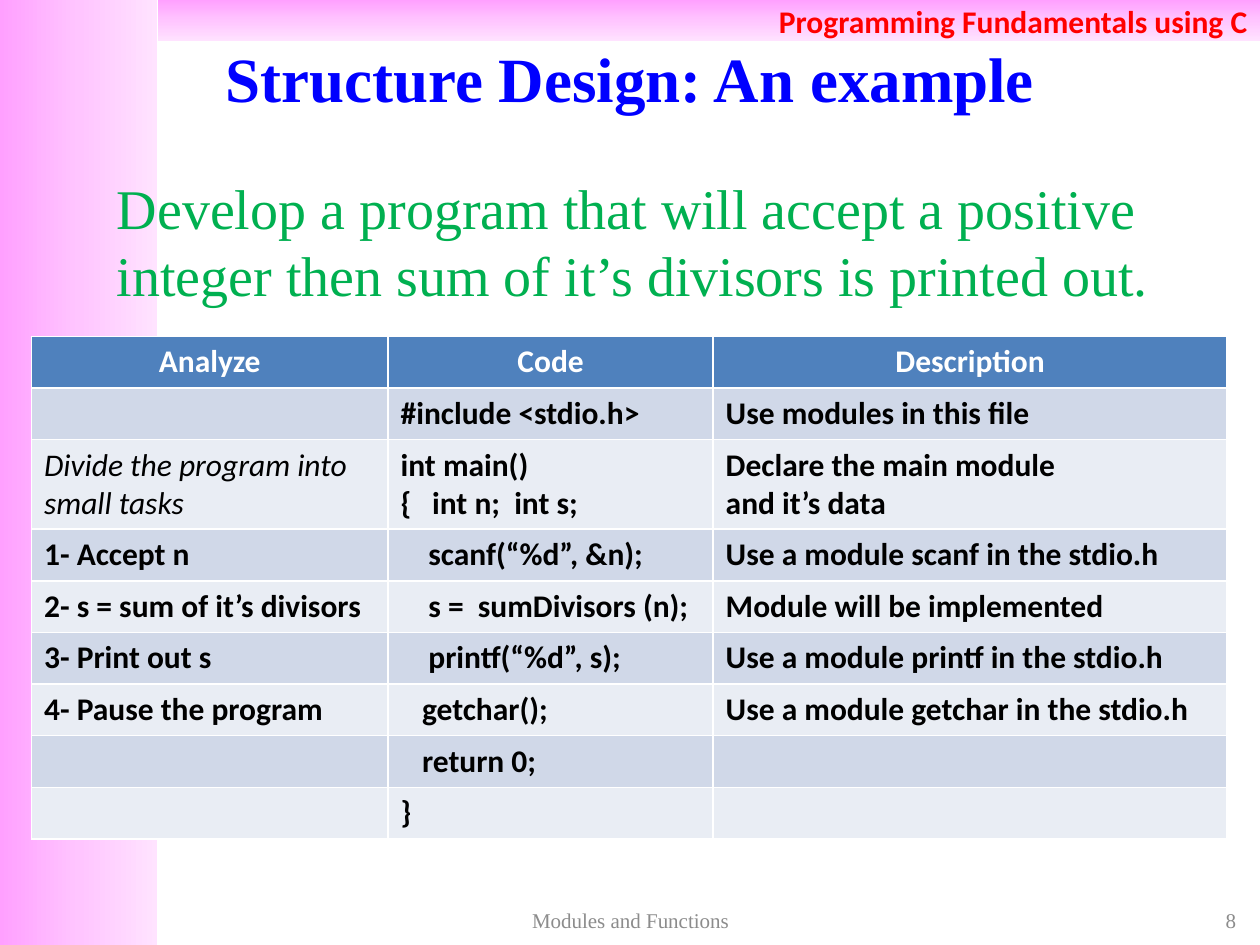
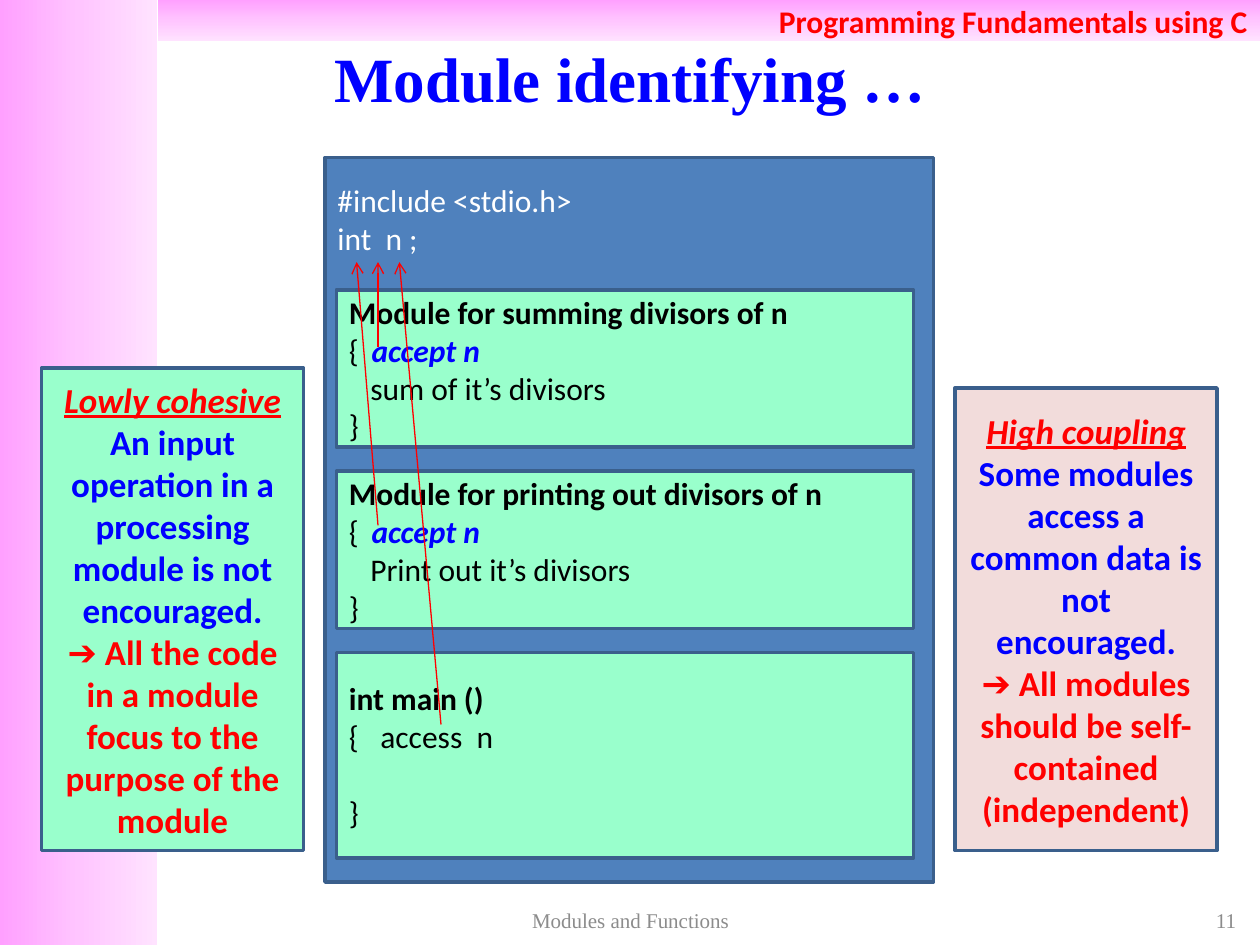
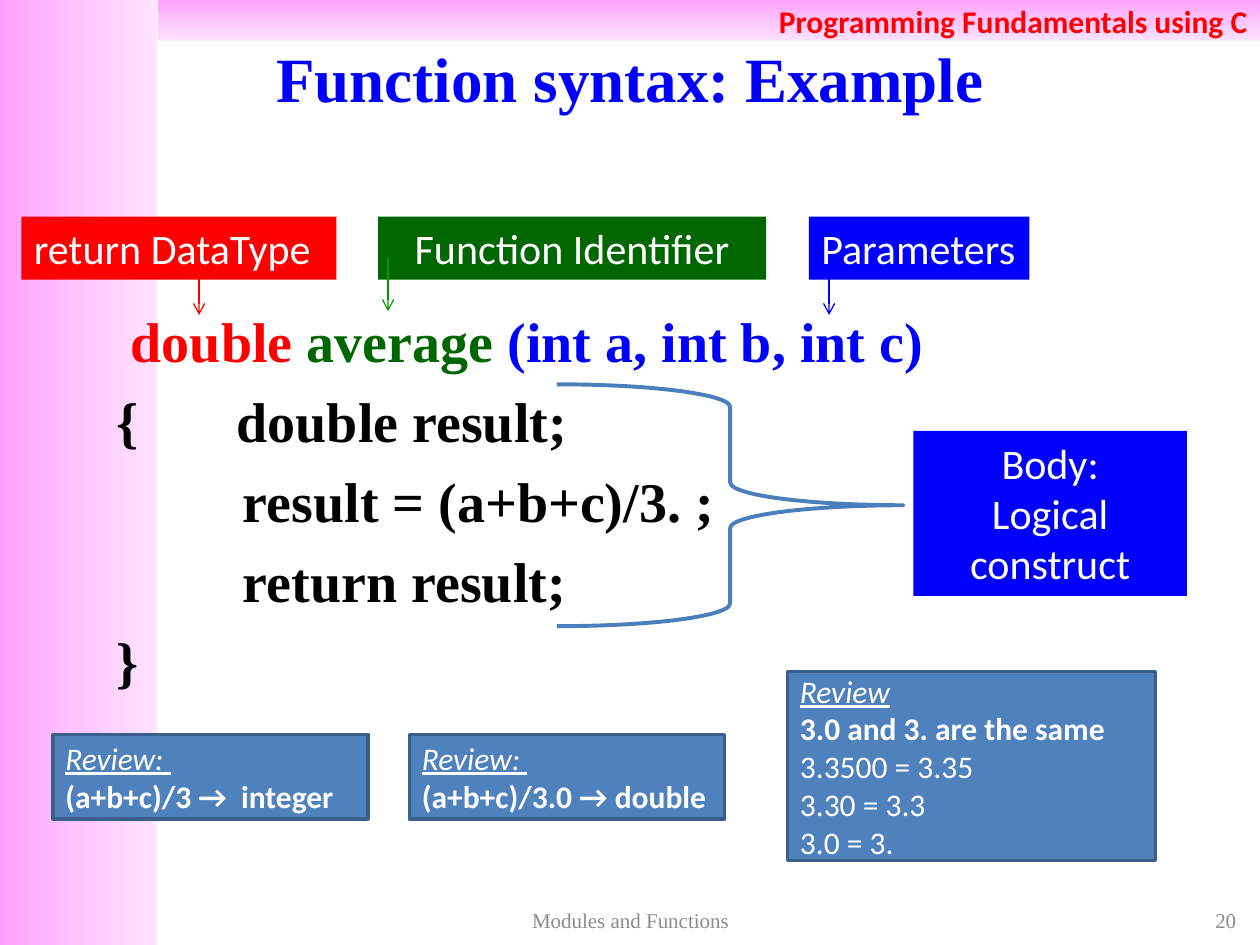
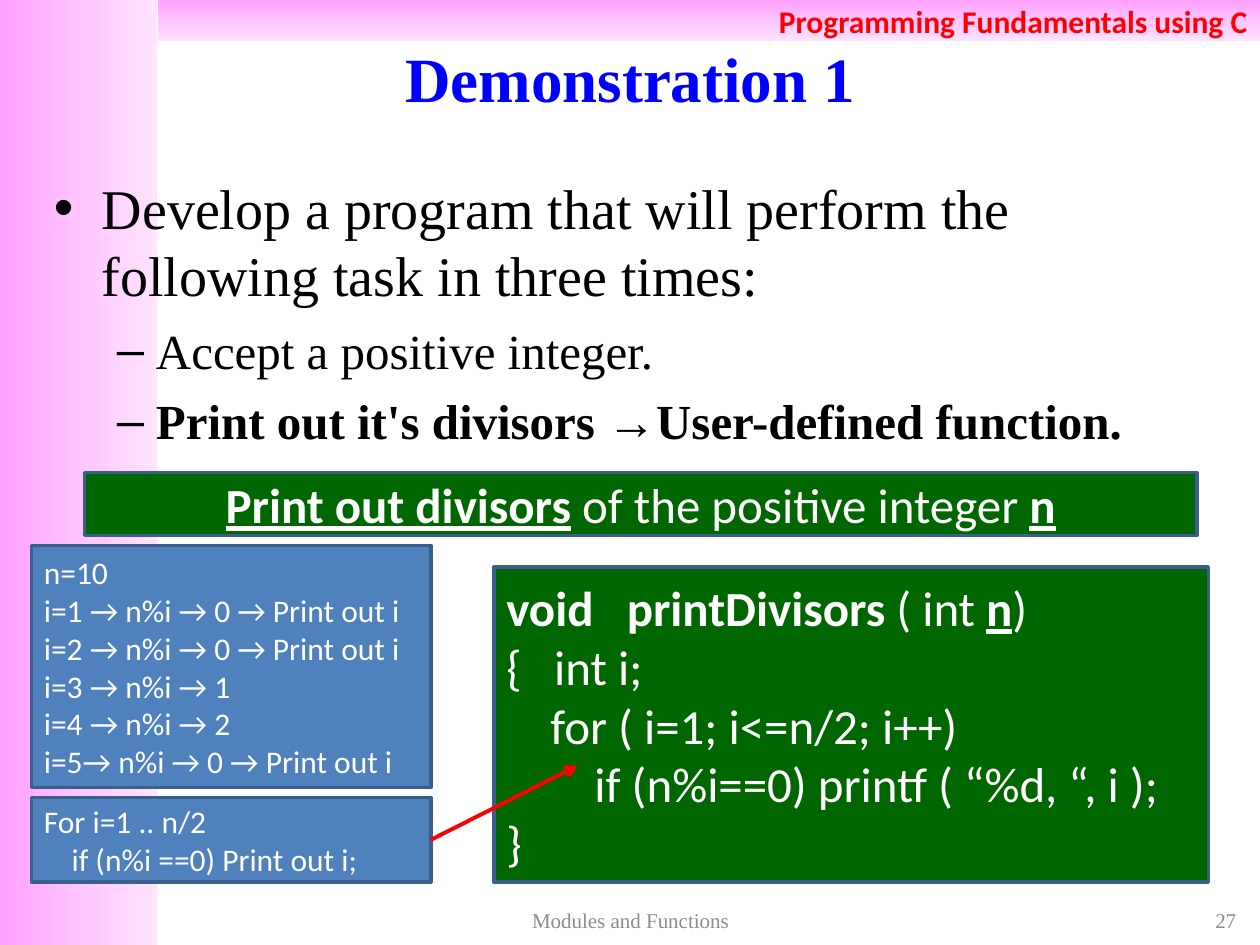
from copy import deepcopy

from lxml import etree
from pptx import Presentation
from pptx import util as u
from pptx.dml.color import RGBColor
from pptx.enum import shapes, text
from pptx.oxml import ns

rgb = RGBColor.from_string
SERIF = "Times New Roman"
WHITE, BLACK, RED, BLUE, GREEN = "FFFFFF", "000000", "FF0000", "0000FF", "006600"
STEEL, OUTLINE, MINT, ROSE, GRAY = "4F81BD", "3A5F8C", "99FFCC", "F2DCDB", "8C8C8C"
BAND_COLORS = ["FFA0FF", "FFC5FF", "FFE3FF"]
ALIGN = {"l": text.PP_ALIGN.LEFT, "c": text.PP_ALIGN.CENTER,
         "r": text.PP_ALIGN.RIGHT, "j": text.PP_ALIGN.JUSTIFY}
STRONG = {"bold": True}
KEYWORD = {"bold": True, "underline": True}
REVIEW = {"italic": True, "underline": True}
HEADLINE = {"color": RED, "italic": True, "underline": True}
ACCEPT = {"color": BLUE, "bold": True, "italic": True}


def write(frame, paragraphs, align="l", before=0, indents={}, **defaults):
    """Each paragraph is a string or a list of (text, format) runs;
    indents maps a paragraph's index to (left margin, first-line indent)."""
    for index, runs in enumerate(paragraphs):
        paragraph = frame.paragraphs[0] if index == 0 else frame.add_paragraph()
        paragraph.alignment = ALIGN[align]
        if before:
            paragraph.space_before = u.Pt(before)
        if index in indents:
            left, first = indents[index]
            properties = paragraph._p.get_or_add_pPr()
            properties.set("marL", str(u.Inches(left)))
            properties.set("indent", str(u.Inches(first)))
        for words, changes in [(runs, {})] if isinstance(runs, str) else runs:
            style = {"size": 18, "font": "Calibri", "color": WHITE} | defaults | changes
            run = paragraph.add_run()
            run.text = words
            run.font.name = style["font"]
            run.font.size = u.Pt(style["size"])
            run.font.color.rgb = rgb(style["color"])
            run.font.bold = style.get("bold", False)
            run.font.italic = style.get("italic", False)
            run.font.underline = style.get("underline", False)


def add_box(slide, place, paragraphs, fill=None, line=None, anchor="MIDDLE", **style):
    """Add a filled rectangle, or a plain text box when there is no fill."""
    place = [u.Inches(length) for length in place]
    if fill:
        box = slide.shapes.add_shape(shapes.MSO_SHAPE.RECTANGLE, *place)
        box.shadow.inherit = False
        box.fill.solid()
        box.fill.fore_color.rgb = rgb(fill)
        if line:
            box.line.color.rgb = rgb(line)
            box.line.width = u.Pt(2)
        else:
            box.line.fill.background()
    else:
        box = slide.shapes.add_textbox(*place)
    box.text_frame.word_wrap = True
    box.text_frame.vertical_anchor = text.MSO_ANCHOR[anchor]
    write(box.text_frame, paragraphs, **style)
    return box


presentation = Presentation()
presentation.slide_width, presentation.slide_height = u.Inches(10), u.Inches(7.5)
layout = presentation.slide_layouts[6]

# Title and footer of every slide
slides = []
for title, number in [("Structure Design: An example", "8"),
                      ("Module identifying …", "11"),
                      ("Function syntax: Example", "20"),
                      ("Demonstration 1", "27")]:
    slide = presentation.slides.add_slide(layout)
    add_box(slide, (0, 0.3, 10, 0.62), [title], align="c",
            size=36, font=SERIF, color=BLUE, bold=True)
    add_box(slide, (7.58, 7.17, 2.33, 0.27), [number], align="r",
            size=12, font=SERIF, color=GRAY)
    add_box(slide, (3.42, 7.17, 3.17, 0.27), ["Modules and Functions"], align="c",
            size=12, font=SERIF, color=GRAY)
    slides.append(slide)
structure, modules, syntax, demonstration = slides

# Gradient bands, shared through the layout
for place, angle, words in [((0, 0, 1.25, 7.5), 0, []),
                            ((1.25, 0, 8.75, 0.33), 270,
                             ["Programming Fundamentals using C"])]:
    band = add_box(structure, place, words, fill=WHITE, align="r", color=RED, bold=True)
    band.fill.gradient()
    band.fill.gradient_angle = angle
    stop_list = band.element.spPr.find(".//" + ns.qn("a:gsLst"))
    stop_list.insert(1, deepcopy(stop_list[0]))
    for index, stop in enumerate(band.fill.gradient_stops):
        stop.position = index / 2
        stop.color.rgb = rgb(BAND_COLORS[index])
    layout.shapes.element.append(band.element)

# Slide 1: analysis table
add_box(structure, (0.83, 1.33, 8.67, 1.08),
        ["Develop a program that will accept a positive integer then sum of "
         "it’s divisors is printed out."],
        anchor="TOP", before=7.4, size=32, font=SERIF, color="00B050")
rows = [
    ("Analyze", "Code", "Description"),
    ("", "#include <stdio.h>", "Use modules in this file"),
    ("Divide the program into small tasks", "int main()\n{\tint n;  int s;",
     "Declare the main module\nand it’s data"),
    ("1- Accept n", "scanf(“%d”, &n);", "Use a module scanf in the stdio.h"),
    ("2- s = sum of it’s divisors", "s =  sumDivisors (n);", "Module will be implemented"),
    ("3- Print out s", "printf(“%d”, s);", "Use a module printf in the stdio.h"),
    ("4- Pause the program", "getchar();", "Use a module getchar in the stdio.h"),
    ("", "return 0;", ""),
    ("", "}", ""),
]
code_indents = {2: {1: (0.25, -0.25)}, 3: {0: (0.22, 0)}, 4: {0: (0.22, 0)},
                5: {0: (0.22, 0)}, 6: {0: (0.17, 0)}, 7: {0: (0.17, 0)}}
table = structure.shapes.add_table(len(rows), 3, u.Inches(0.25), u.Inches(2.67),
                                   u.Inches(9.5), u.Inches(3.99)).table
for column, width in zip(table.columns, (2.83, 2.58, 4.08)):
    column.width = u.Inches(width)
for r, row in enumerate(rows):
    table.rows[r].height = u.Inches(0.71 if r == 2 else 0.41)
    for c, words in enumerate(row):
        cell = table.cell(r, c)
        cell.fill.solid()
        cell.fill.fore_color.rgb = rgb(STEEL if r == 0 else ("E9EDF4", "D0D8E8")[r % 2])
        intro = (r, c) == (2, 0)
        if words:
            write(cell.text_frame, words.split("\n"), align="l" if r else "c",
                  color=BLACK if r else WHITE, bold=not intro, italic=intro,
                  indents=code_indents.get(r, {}) if c == 1 else {})

# Slide 2: modules around a common variable
program = add_box(modules, (2.58, 1.25, 4.83, 5.75), ["#include <stdio.h>", "int  n ;"],
                  fill=STEEL, line=OUTLINE, anchor="TOP")
program.text_frame.margin_top = u.Inches(0.19)
for top, heading, task in [
        (2.3, "Module for summing divisors of n", "sum of it’s divisors"),
        (3.74, "Module for printing out divisors of n", "Print out it’s divisors")]:
    add_box(modules, (2.67, top, 4.58, 1.25),
            [[(heading, STRONG)], [("{\t", {}), ("accept n", ACCEPT)], task, "}"],
            fill=MINT, line=OUTLINE, color=BLACK,
            indents={1: (0.18, -0.18), 2: (0.17, 0)})
main_module = add_box(modules, (2.67, 5.18, 4.58, 1.63),
                      [[("int main ()", STRONG)], "{\taccess  n", "}"],
                      fill=MINT, line=OUTLINE, color=BLACK, indents={1: (0.25, -0.25)})
main_module.text_frame.paragraphs[2].space_before = u.Pt(22)
add_box(modules, (0.33, 2.92, 2.08, 3.83),
        [[("Lowly cohesive", HEADLINE)],
         "An input operation in a processing module is not encouraged.",
         [("➔ All the code in a module focus to the purpose of the module", {"color": RED})]],
        fill=MINT, line=OUTLINE, align="c", size=20, color=BLUE, bold=True)
add_box(modules, (7.58, 3.08, 2.08, 3.67),
        [[("High coupling", HEADLINE),
          (" Some modules access a common data is not encouraged.", {})],
         [("➔ All modules should be self-contained (independent)", {"color": RED})]],
        fill=ROSE, line=OUTLINE, align="c", size=20, color=BLUE, bold=True)

# Slide 3: parts of a function
add_box(syntax, (0.83, 2.38, 8.67, 3.28),
        [[("double ", {"color": RED}), ("average ", {"color": GREEN}),
          ("(int a, int b, int c)", {"color": BLUE})],
         "{\tdouble result;", "result = (a+b+c)/3. ;", "return result;", "}"],
        anchor="TOP", align="j", before=7.4, size=32, font=SERIF, color=BLACK, bold=True,
        indents={0: (0.11, 0), 1: (0.95, -0.95), 2: (1, 0), 3: (1, 0)})
for place, words, fill, align in [
        ((0.17, 1.72, 2.5, 0.5), ["return DataType"], RED, "l"),
        ((3, 1.72, 3.08, 0.5), ["Function Identifier"], GREEN, "c"),
        ((6.42, 1.72, 1.75, 0.5), ["Parameters"], BLUE, "l"),
        ((7.25, 3.42, 2.17, 1.31), ["Body:", "Logical construct"], BLUE, "c")]:
    add_box(syntax, place, words, fill=fill, align=align, anchor="TOP", size=24)
brace = syntax.shapes.add_shape(shapes.MSO_SHAPE.RIGHT_BRACE, u.Inches(4.42),
                                u.Inches(3.05), u.Inches(2.75), u.Inches(1.92))
brace.adjustments[0] = 0.094
brace.shadow.inherit = False
brace.fill.background()
brace.line.color.rgb = rgb("4B7EBC")
brace.line.width = u.Pt(2.25)
for place, heading, claim, examples in [
        ((0.42, 5.83, 2.5, 0.67), "Review: ", "(a+b+c)/3 →  integer", []),
        ((3.25, 5.83, 2.5, 0.67), "Review: ", "(a+b+c)/3.0 → double", []),
        ((6.25, 5.33, 2.92, 1.5), "Review", "3.0 and 3. are the same",
         ["3.3500 = 3.35", "3.30 = 3.3", "3.0 = 3."])]:
    add_box(syntax, place, [[(heading, REVIEW)], [(claim, STRONG)], *examples],
            fill=STEEL, line=OUTLINE)

# Slide 4: task, trace and code
task = add_box(demonstration, (0.33, 1.33, 9.17, 2.33),
               [[("Develop a program that will perform the following task in three times:",
                  {"size": 32})],
                "Accept a positive integer.",
                [("Print out it's divisors →User-defined function.", STRONG)]],
               anchor="TOP", before=6.8, size=28, font=SERIF, color=BLACK,
               indents={0: (0.38, -0.38), 1: (0.81, -0.31), 2: (0.81, -0.31)})
for paragraph, level, bullet in zip(task.text_frame.paragraphs, (0, 1, 1), "•––"):
    paragraph.level = level
    properties = paragraph._p.get_or_add_pPr()
    etree.SubElement(properties, ns.qn("a:buFont")).set("typeface", "Arial")
    etree.SubElement(properties, ns.qn("a:buChar")).set("char", bullet)
add_box(demonstration, (0.67, 3.75, 8.83, 0.5),
        [[("Print out divisors", KEYWORD), (" of the positive integer ", {}), ("n", KEYWORD)]],
        fill=GREEN, line=OUTLINE, align="c", size=28)
add_box(demonstration, (0.25, 4.33, 3.17, 1.92),
        ["n=10", "i=1 → n%i → 0 → Print out i", "i=2 → n%i → 0 → Print out i",
         "i=3 → n%i → 1", "i=4 → n%i → 2", "i=5→ n%i → 0 → Print out i"],
        fill=STEEL, line=OUTLINE)
loop_box = add_box(demonstration, (0.25, 6.33, 3.17, 0.67),
                   ["For i=1 .. n/2", "if (n%i ==0) Print out i;"],
                   fill=STEEL, line=OUTLINE, indents={1: (0.22, 0)})
add_box(demonstration, (3.92, 4.5, 5.67, 2.5),
        [[("void   printDivisors", STRONG), (" ( int ", {}), ("n", KEYWORD), (")", {})],
         "{\tint i;", "for ( i=1; i<=n/2; i++)",
         "if (n%i==0) printf ( “%d, “, i );", "}"],
        fill=GREEN, line=OUTLINE, size=28,
        indents={1: (0.38, -0.38), 2: (0.35, 0), 3: (0.7, 0)})

# Arrows of all slides
for slide, ends, color, width, source in [
        (modules, (3, 2.75, 3, 2.08), RED, 0.75, None),
        (modules, (3, 4.17, 2.83, 2.08), RED, 0.75, None),
        (modules, (3.5, 5.75, 3.17, 2.08), RED, 0.75, None),
        (syntax, (3.08, 2.05, 3.08, 2.47), "009900", 0.75, None),
        (syntax, (1.58, 2.08, 1.58, 2.5), RED, 0.75, None),
        (syntax, (6.58, 2.08, 6.58, 2.5), BLUE, 0.75, None),
        (demonstration, (3.42, 6.67, 4.58, 6.08), RED, 2.25, loop_box)]:
    arrow = slide.shapes.add_connector(shapes.MSO_CONNECTOR.STRAIGHT,
                                       *[u.Inches(length) for length in ends])
    if source:
        arrow.begin_connect(source, 3)
    arrow.line.color.rgb = rgb(color)
    arrow.line.width = u.Pt(width)
    etree.SubElement(arrow.line._get_or_add_ln(), ns.qn("a:tailEnd")).set("type", "arrow")
    etree.SubElement(arrow.element.spPr, ns.qn("a:effectLst"))

presentation.save("out.pptx")
